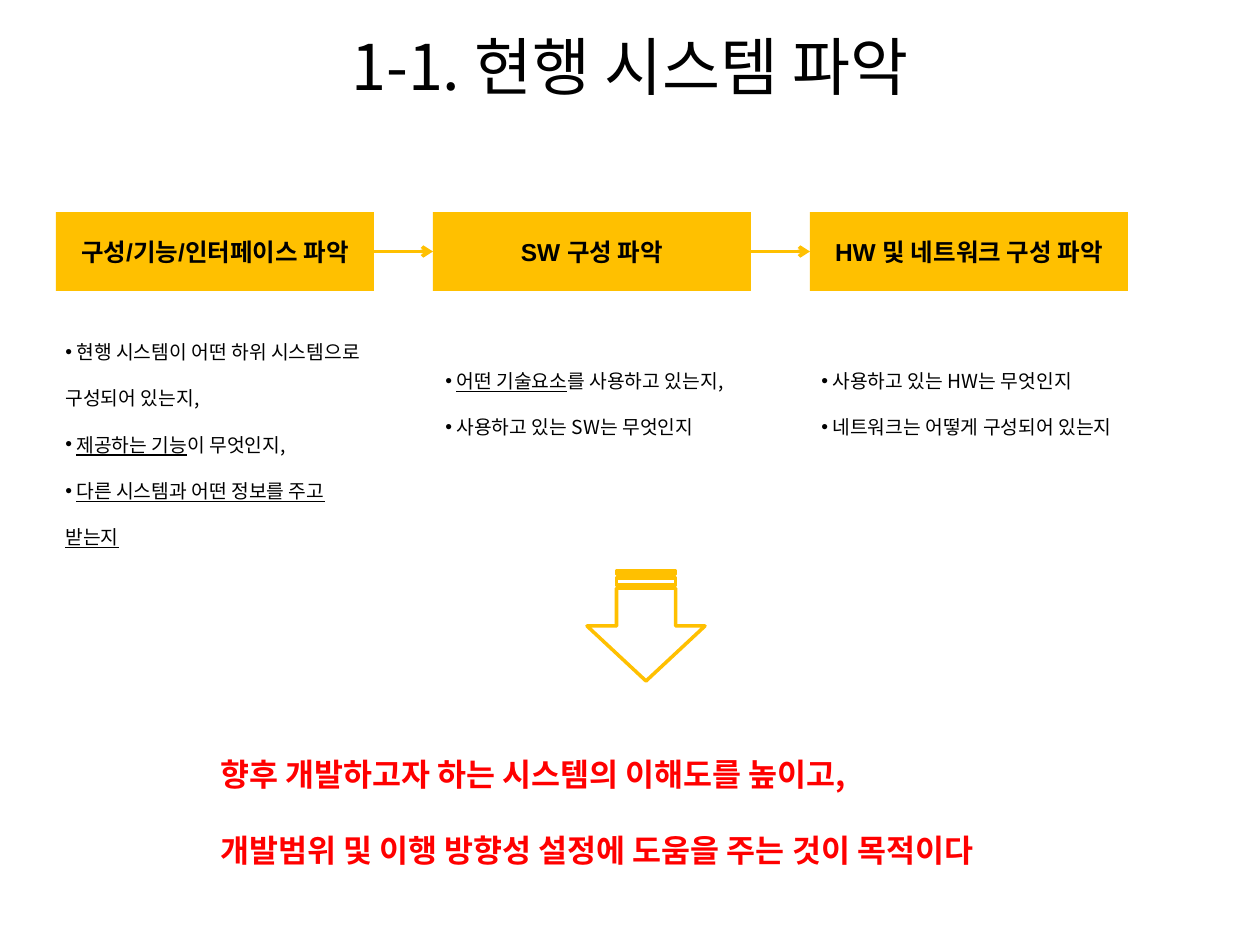
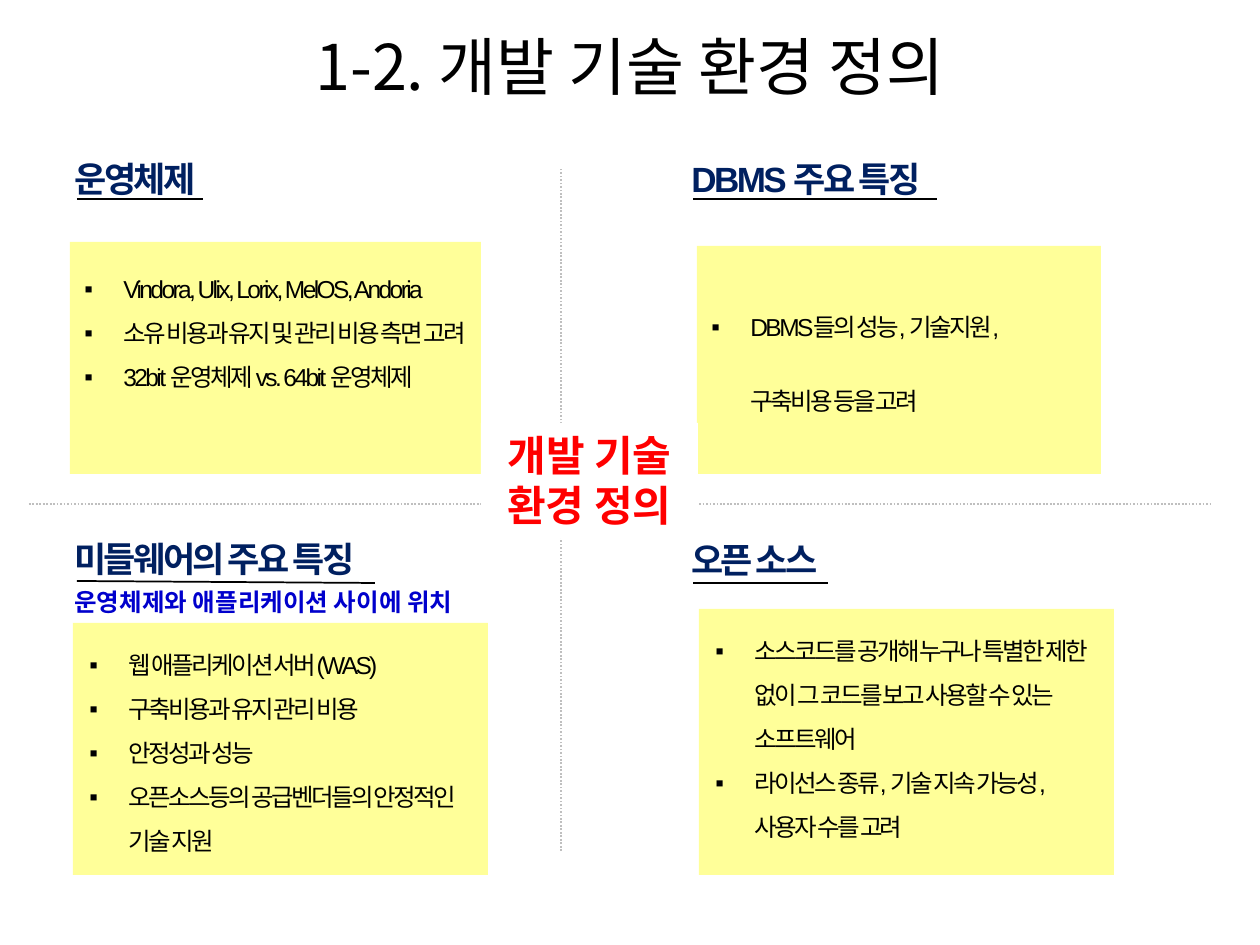
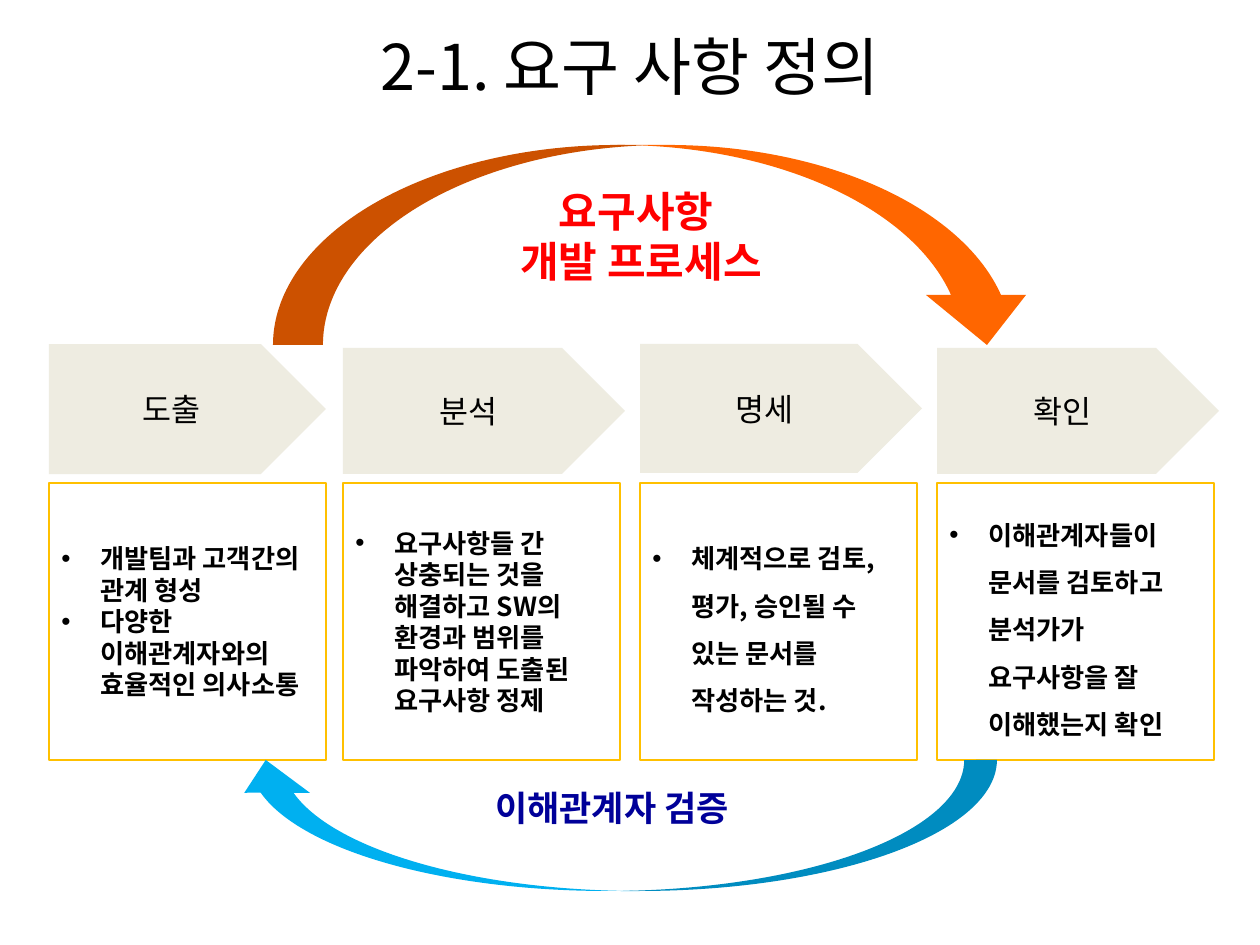
from lxml.etree import SubElement
from pptx import Presentation
from pptx.dml.color import RGBColor
from pptx.enum.dml import MSO_LINE_DASH_STYLE as Dash
from pptx.enum.shapes import MSO_CONNECTOR as Link, MSO_SHAPE as Shape
from pptx.enum.text import MSO_ANCHOR as Anchor, MSO_AUTO_SIZE as AutoSize, PP_ALIGN as Align
from pptx.oxml.ns import qn
from pptx.util import Pt

COLORS = {
    "black": "000000", "white": "FFFFFF", "gold": "FFC000", "red": "FF0000",
    "navy": "002060", "blue": "0000CC", "deep blue": "000099", "grey": "BFBFBF",
    "yellow": "FFFF99", "beige": "EEECE1", "orange": "FF6600", "sky": "00B0F0",
}
KOREAN, LATIN = "Noto Sans CJK KR", "Arial"
SLIDE = (1260, 945)
TITLE_AREA = (15, 6, 1230, 118)
HANGING = 39

SURVEY_TITLE = "1-1. 현행 시스템 파악"
SURVEY_STEPS = [
    ("구성/기능/인터페이스 파악", (53, 311, 320, 246),
     [" 현행 시스템이 어떤 하위 시스템으로 구성되어 있는지,",
      " _제공하는 기능_이 무엇인지,",
      " _다른 시스템과 어떤 정보를 주고 받는지_"]),
    ("SW 구성 파악", (433, 340, 357, 106),
     [" _어떤 기술요소_를 사용하고 있는지,", " 사용하고 있는 SW는 무엇인지"]),
    ("HW 및 네트워크 구성 파악", (809, 340, 357, 106),
     [" 사용하고 있는 HW는 무엇인지", " 네트워크는 어떻게 구성되어 있는지"]),
]
SURVEY_GOAL = ["향후 개발하고자 하는 시스템의 이해도를 높이고,",
               "개발범위 및 이행 방향성 설정에 도움을 주는 것이 목적이다"]

TECH_TITLE = "1-2. 개발 기술 환경 정의"
TECH_CENTER = "개발 기술 환경 정의"
TECH_NOTE = "운영체제와 애플리케이션 사이에 위치"
TECH_TOPICS = [
    {"heading": "운영체제", "place": (62, 163, 156, 43), "rule": (77, 199, 203, 199),
     "panel": (70, 242, 411, 232), "body": (72, 253, 407, 190), "spacing": 1.5,
     "items": ["Vindora, Ulix, Lorix, MelOS, Andoria",
               "소유 비용과 유지 및 관리 비용 측면 고려",
               "32bit 운영체제 vs. 64bit 운영체제"]},
    {"heading": "DBMS 주요 특징", "place": (679, 163, 268, 43), "rule": (693, 199, 937, 199),
     "panel": (697, 246, 404, 228), "body": (699, 262, 382, 161), "spacing": 2.5,
     "items": ["DBMS들의 성능, 기술지원, 구축비용 등을 고려"]},
    {"heading": "미들웨어의 주요 특징", "place": (62, 543, 339, 43), "rule": (77, 581, 375, 583),
     "panel": (73, 623, 415, 252), "body": (77, 629, 411, 236), "spacing": 1.5,
     "items": ["웹 애플리케이션 서버(WAS)", "구축비용과 유지 관리 비용", "안정성과 성능",
               "오픈소스등의 공급벤더들의 안정적인 기술 지원"]},
    {"heading": "오픈 소스", "place": (679, 544, 166, 43), "rule": (693, 583, 828, 583),
     "panel": (699, 609, 415, 266), "body": (703, 615, 411, 236), "spacing": 1.5,
     "items": ["소스코드를 공개해 누구나 특별한 제한 없이 그 코드를 보고 사용할 수 있는 소프트웨어",
               "라이선스 종류, 기술 지속 가능성, 사용자 수를 고려"]},
]
TECH_AXES = [(29, 504, 1213, 504), (561, 851, 561, 169)]

PROCESS_TITLE = "2-1. 요구 사항 정의"
PROCESS_STAGES = [
    ("도출", (49, 344, 277, 130), None,
     ["개발팀과 고객간의 관계 형성", "다양한 이해관계자와의 효율적인 의사소통"]),
    ("분석", (343, 348, 282, 126), None,
     ["요구사항들 간 상충되는 것을 해결하고 SW의 환경과 범위를 파악하여 도출된 요구사항 정제"]),
    ("명세", (640, 344, 282, 129), 1.5,
     ["체계적으로 검토, 평가, 승인될 수 있는 문서를 작성하는 것."]),
    ("확인", (937, 348, 282, 126), 1.5,
     ["이해관계자들이 문서를 검토하고 분석가가 요구사항을 잘 이해했는지 확인"]),
]
PROCESS_NAME = ["요구사항 ", "개발 프로세스"]
PROCESS_CHECK = "이해관계자 검증"


def px(value):
    return round(value * 914400 / 126)


def rgb(name):
    return RGBColor.from_string(COLORS[name])


def write(shape, lines, size, color="black", face=KOREAN, bold=False, align=Align.LEFT,
          spacing=None, bullet=None, hang=0, tracking=None, anchor=Anchor.MIDDLE):
    frame = shape.text_frame
    frame.word_wrap = True
    frame.vertical_anchor = anchor
    for index, line in enumerate(lines):
        para = frame.paragraphs[0] if index == 0 else frame.add_paragraph()
        para.alignment = align
        if spacing:
            para.line_spacing = spacing
        if bullet:
            props = para._p.get_or_add_pPr()
            props.set("marL", str(px(hang)))
            props.set("indent", str(-px(hang)))
            SubElement(props, qn("a:buFont"), typeface=LATIN)
            SubElement(props, qn("a:buChar"), char=bullet)
        font = para.font
        font.size, font.bold, font.name = Pt(size), bold, face
        font.color.rgb = rgb(color)
        SubElement(font._element, qn("a:ea"), typeface=KOREAN)
        if tracking:
            font._element.set("spc", str(round(tracking * 100)))
        for part, words in enumerate(line.split("_")):
            if words:
                span = para.add_run()
                span.text = words
                if part % 2:
                    span.font.underline = True


def add_text(page, area, lines, size, wrap=True, **style):
    box = page.shapes.add_textbox(*map(px, area))
    write(box, lines, size, anchor=Anchor.TOP, **style)
    box.text_frame.word_wrap = wrap
    box.text_frame.auto_size = AutoSize.SHAPE_TO_FIT_TEXT
    return box


def add_box(page, kind, area, fill=None, line=None, weight=1):
    box = page.shapes.add_shape(kind, *map(px, area))
    box.shadow.inherit = False
    if fill:
        box.fill.solid()
        box.fill.fore_color.rgb = rgb(fill)
    else:
        box.fill.background()
    if line:
        box.line.color.rgb = rgb(line)
        box.line.width = Pt(weight)
    else:
        box.line.fill.background()
    return box


def add_line(page, ends, color, weight=1, kind=Link.STRAIGHT):
    line = page.shapes.add_connector(kind, *map(px, ends))
    line.line.color.rgb = rgb(color)
    line.line.width = Pt(weight)
    SubElement(line._element.spPr, qn("a:effectLst"))
    return line


def add_page(deck, title):
    page = deck.slides.add_slide(deck.slide_layouts[5])
    box = page.shapes.title
    box.left, box.top, box.width, box.height = map(px, TITLE_AREA)
    write(box, [title], 36, align=Align.CENTER)
    return page


def build_survey(deck):
    page = add_page(deck, SURVEY_TITLE)
    boxes = []
    for index, (name, area, points) in enumerate(SURVEY_STEPS):
        box = add_box(page, Shape.RECTANGLE, (56 + 377 * index, 212, 318, 79), "gold")
        write(box, [name], 14, face=LATIN, bold=True, align=Align.CENTER)
        add_text(page, area, points, 11, spacing=2.0, bullet="•")
        boxes.append(box)
    for before, after in zip(boxes, boxes[1:]):
        arrow = add_line(page, (0, 0, 0, 0), "gold", 2, Link.ELBOW)
        arrow.begin_connect(before, 3)
        arrow.end_connect(after, 1)
        SubElement(arrow.line._get_or_add_ln(), qn("a:tailEnd"), type="arrow")
    down = add_box(page, Shape.STRIPED_RIGHT_ARROW, (591, 567, 110, 118), line="gold", weight=2)
    down.rotation = 90
    add_text(page, (208, 711, 879, 165), SURVEY_GOAL, 18, wrap=False,
             color="red", bold=True, spacing=2.0)


def build_tech(deck):
    page = add_page(deck, TECH_TITLE)
    for topic in TECH_TOPICS:
        add_box(page, Shape.RECTANGLE, topic["panel"], "yellow")
        add_text(page, topic["place"], [topic["heading"]], 20, wrap=False, color="navy",
                 face=LATIN, bold=True, spacing=0.7, tracking=-1.5)
        add_line(page, topic["rule"], "black")
        add_text(page, topic["body"], topic["items"], 14, face=LATIN, tracking=-1.5,
                 spacing=topic["spacing"], bullet="▪", hang=HANGING)
    add_text(page, (62, 581, 447, 43), [TECH_NOTE], 14, wrap=False,
             color="blue", face=LATIN, bold=True)
    for ends in TECH_AXES:
        add_line(page, ends, "grey").line.dash_style = Dash.ROUND_DOT
    center = add_box(page, Shape.RECTANGLE, (481, 423, 217, 115), "white")
    write(center, [TECH_CENTER], 24, color="red", face=LATIN, bold=True,
          align=Align.CENTER, anchor=Anchor.TOP)


def build_process(deck):
    page = add_page(deck, PROCESS_TITLE)
    for name, area, spacing, points in PROCESS_STAGES:
        stage = add_box(page, Shape.PENTAGON, area, "beige")
        write(stage, [name], 18, align=Align.CENTER)
        card = add_box(page, Shape.RECTANGLE, (area[0], 483, 277, 277), "white", "gold")
        write(card, points, 15, bold=True, spacing=spacing, bullet="•", hang=HANGING)
    add_box(page, Shape.CURVED_DOWN_ARROW, (273, 145, 764, 200), "orange")
    back = add_box(page, Shape.CURVED_DOWN_ARROW, (233, 760, 764, 131), "sky")
    for flip in ("flipH", "flipV"):
        back._element.spPr.xfrm.set(flip, "1")
    add_text(page, (423, 179, 436, 115), PROCESS_NAME, 24, color="red", bold=True,
             align=Align.CENTER)
    add_text(page, (394, 780, 436, 55), [PROCESS_CHECK], 20, color="deep blue", bold=True,
             align=Align.CENTER)


def main():
    deck = Presentation()
    deck.slide_width, deck.slide_height = map(px, SLIDE)
    for build in (build_survey, build_tech, build_process):
        build(deck)
    deck.save("out.pptx")


if __name__ == "__main__":
    main()
